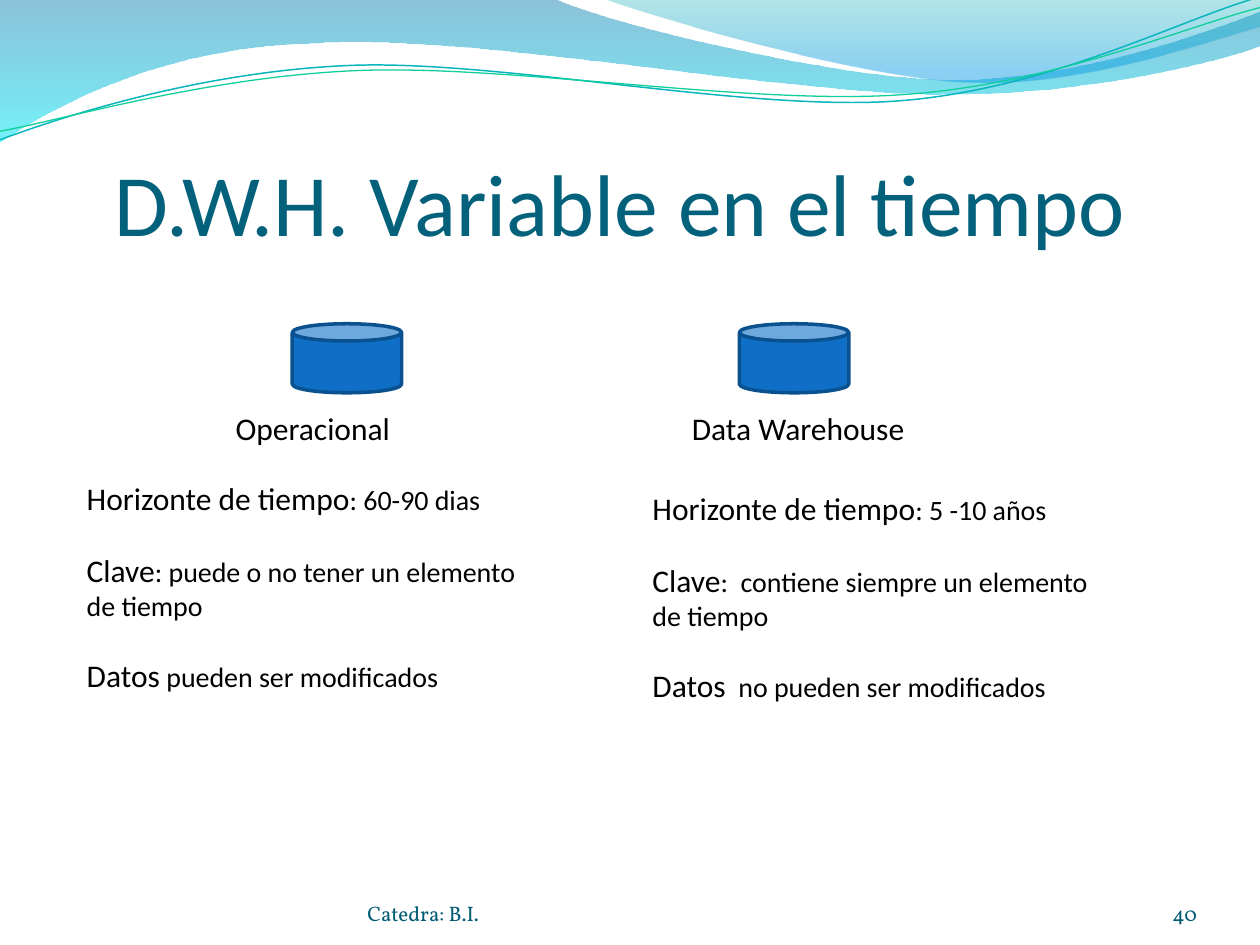
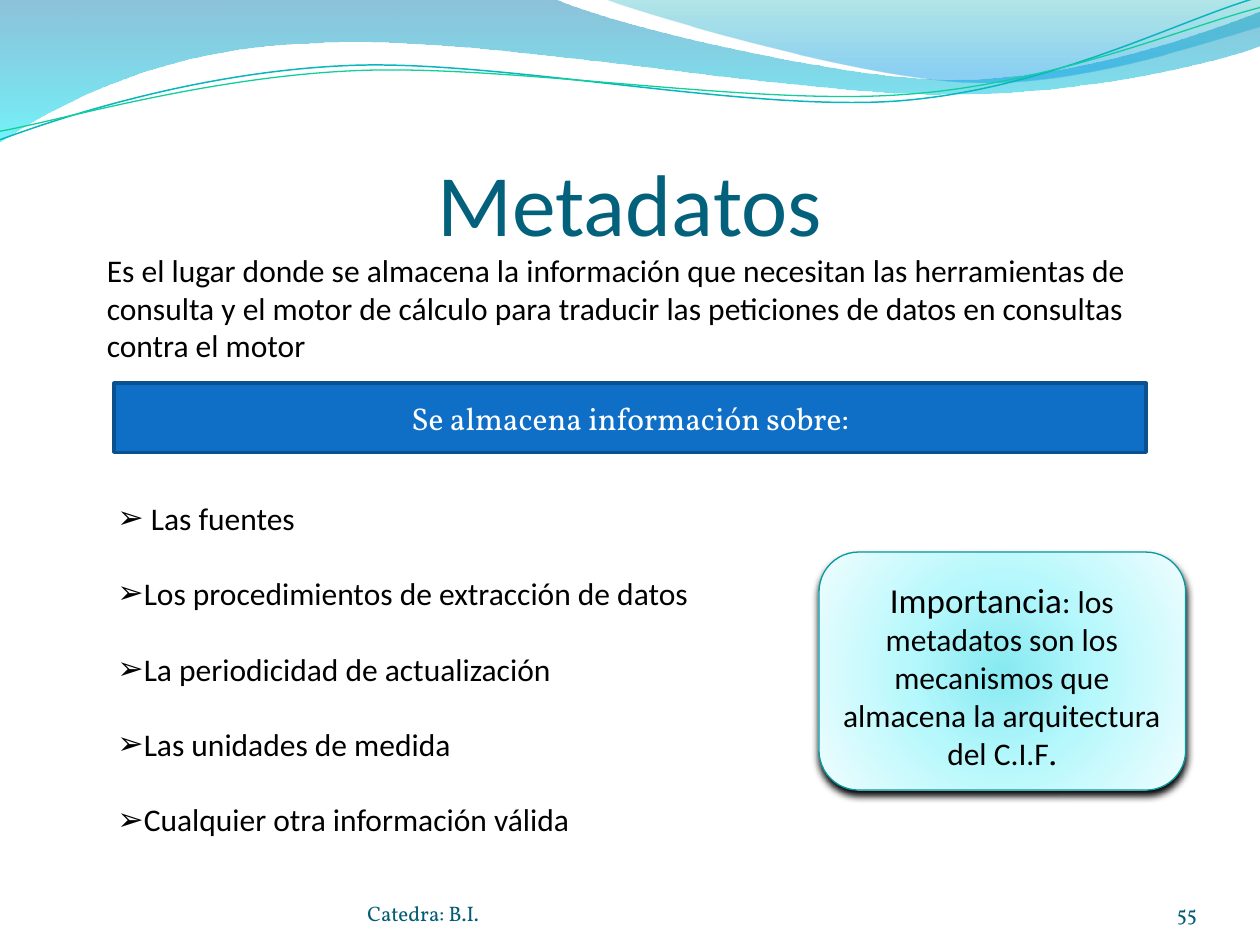
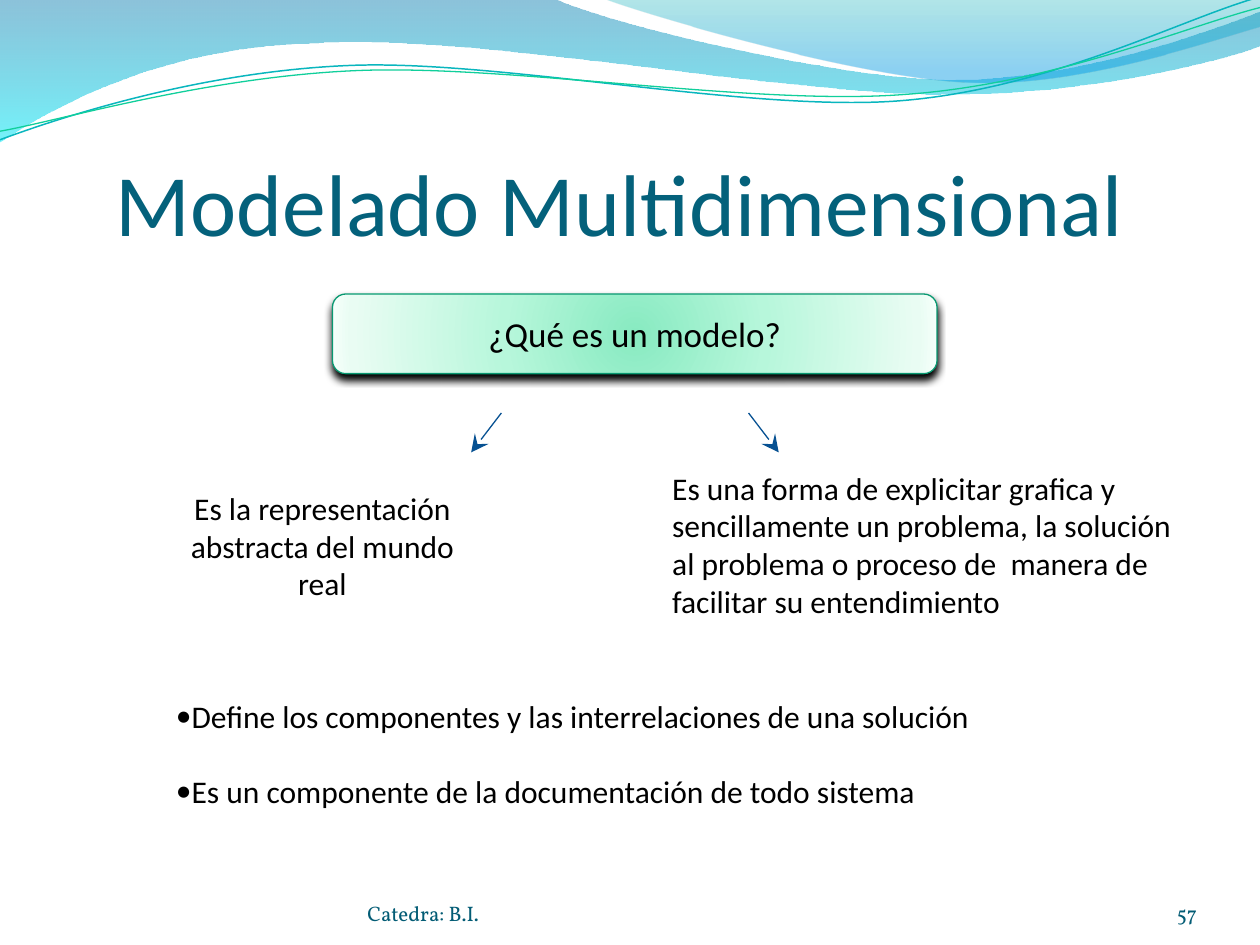
import lxml.etree
import pptx
import pptx.dml.color
import pptx.enum.shapes
import pptx.enum.text
import pptx.oxml
import pptx.oxml.ns
import pptx.util

Pt = pptx.util.Pt
RGB = pptx.dml.color.RGBColor.from_string
Kind = pptx.enum.shapes.MSO_SHAPE
Align = pptx.enum.text.PP_ALIGN
Anchor = pptx.enum.text.MSO_ANCHOR
qn = pptx.oxml.ns.qn
NS = pptx.oxml.ns.nsdecls("a")


class Theme:
    sans, serif = "Calibri", "Vollkorn"
    black, white = "000000", "FFFFFF"
    title, foot = "04617B", "035C75"
    blue, edge, arrow = "0F6FC6", "0A5190", "075192"
    aqua = [(0, "87E9F1", 100), (43, "B6F8FC", 100), (93, "E8FCFE", 100), (100, "F6FFFF", 100)]
    mint = [(0, "88EAC1", 100), (43, "B7F7DB", 100), (93, "E9FCF3", 100), (100, "F6FFFB", 100)]
    aqua_edge, mint_edge = "0599A0", "089971"
    head, large, body, small, tiny = 50, 20, 18, 16, 12
    gap, tight = 21.5, 19.5


def say(shape, paras, align=Align.LEFT, anchor=Anchor.TOP, pads=(7.2, 3.6, 7.2, 3.6),
        font=Theme.sans, color=Theme.black, gap=0, mark=None):
    """Write paragraphs, each a list of (text, size[, font]) runs, into a shape."""
    frame = shape.text_frame
    frame.word_wrap = True
    frame.vertical_anchor = anchor
    frame.margin_left, frame.margin_top, frame.margin_right, frame.margin_bottom = map(Pt, pads)
    for num, runs in enumerate(paras):
        para = frame.add_paragraph() if num else frame.paragraphs[0]
        if mark:
            props = para._p.get_or_add_pPr()
            lxml.etree.SubElement(props, qn("a:buFont")).set("typeface", font)
            lxml.etree.SubElement(props, qn("a:buChar")).set("char", mark)
        para.alignment = align
        if num and gap:
            para.space_before = Pt(gap)
        for text, size, *face in runs:
            run = para.add_run()
            run.text = text
            run.font.size = Pt(size)
            run.font.name = face[0] if face else font
            run.font.color.rgb = RGB(color)


def blend(shape, stops, way):
    """Fill with a gradient of (percent, colour, opacity) stops."""
    marks = "".join(
        f'<a:gs pos="{pos * 1000}"><a:srgbClr val="{color}">'
        f'<a:alpha val="{alpha * 1000}"/></a:srgbClr></a:gs>'
        for pos, color, alpha in stops)
    shape._element.spPr.insert(2, pptx.oxml.parse_xml(
        f'<a:gradFill {NS} rotWithShape="1"><a:gsLst>{marks}</a:gsLst>{way}</a:gradFill>'))


DOWN = '<a:lin ang="5400000" scaled="0"/>'
ROUND = '<a:path path="circle"><a:fillToRect l="50000" t="50000" r="50000" b="50000"/></a:path>'

# Points of each wave: a pair is a line end, six numbers are a Bezier curve.
BANDS = [
    ([(0, 0), (316.8, -0.7), (342.7, 12.2, 478.1, 45.4, 545.8, 45.4),
      (614.2, 45.4, 689.8, 18.7, 720, 6.5), (720.7, 25.9),
      (707.8, 31.7, 626.4, 54.7, 537.1, 54), (447.8, 54, 275, 20.2, 185, 24.5),
      (92.9, 25.9, 33.1, 59.8, -0.7, 81.4), (0, 0)],
     [(0, "0079AD", 45), (100, "00E9F7", 55)]),
    ([(344.9, -0.7), (366.5, 7.9, 491, 44.6, 553.7, 46.8),
      (616.3, 49.7, 691.9, 23, 720, 15.1), (720, 0), (344.9, -0.7)],
     [(0, "00ABB4", 30), (80, "0099E4", 45), (100, "0099E4", 45)]),
]
CURVES = [
    ([(-1.4, 62.9), (33.8, 51.7, 114.1, 29.4, 199.8, 29.9),
      (284.9, 30.3, 425.8, 67.3, 512.4, 64.9), (599, 62.4, 676.4, 25.7, 720.2, 15.6)],
     ("09B6BE", 0.85)),
    ([(-1.1, 58), (32.9, 53.7, 118.3, 32.5, 204.1, 33),
      (290.6, 33.4, 428.9, 63.8, 515.5, 61.4), (601.3, 59.6, 678.5, 30.1, 721.4, 21.3)],
     ("10CF9B", 0.75)),
]
TILT = 357.3

deck = pptx.Presentation()
deck.slide_width, deck.slide_height = Pt(720), Pt(540)
slides = []

# Shared frame: waves, title, footer and page number
for title, page in [("D.W.H. Variable en el tiempo ", "40"), ("Metadatos", "55"),
                    ("Modelado Multidimensional ", "57")]:
    slide = deck.slides.add_slide(deck.slide_layouts[6])
    slides.append(slide)
    for route, paint in BANDS + CURVES:
        closed = isinstance(paint, list)
        pen = slide.shapes.build_freeform(*map(Pt, route[0]))
        dots = [(Pt(x), Pt(y)) for part in route[1:] for x, y in zip(part[::2], part[1::2])]
        pen.add_line_segments(dots, close=closed)
        wave = pen.convert_to_shape()
        wave.shadow.inherit = False
        # Join the three points of each curve into one Bezier segment
        trace = wave._element.spPr.find(".//" + qn("a:path"))
        nodes = iter(list(trace)[1:])
        for part in route[1:]:
            node = next(nodes)
            if len(part) == 6:
                bend = trace.makeelement(qn("a:cubicBezTo"))
                node.addprevious(bend)
                for step in (node, next(nodes), next(nodes)):
                    bend.append(step[0])
                    trace.remove(step)
        if closed:
            blend(wave, paint, DOWN)
            wave.line.fill.background()
        else:
            wave.rotation = TILT
            wave.fill.background()
            wave.line.color.rgb = RGB(paint[0])
            wave.line.width = Pt(paint[1])
    box = slide.shapes.add_textbox(*map(Pt, (36, 55.25, 648, 90)))
    say(box, [[(title, Theme.head)]], Align.CENTER, Anchor.BOTTOM, (0, 3.6, 0, 0),
        color=Theme.title)
    for left, width, text, align in [(210, 264, "Catedra: B.I.", Align.LEFT),
                                     (624, 60, page, Align.RIGHT)]:
        box = slide.shapes.add_textbox(*map(Pt, (left, 500.5, width, 28.75)))
        say(box, [[(text, Theme.tiny)]], align, Anchor.BOTTOM, (0, 0, 0, 0),
            Theme.serif, Theme.foot)

time, meta, model = slides

# Slide 1: operational store against data warehouse
for can_x, name_x, name, list_x, list_y, facts in [
    (167, 127.5, "Operacional", 42.5, 270,
     [("Horizonte de tiempo", ": 60-90 dias"),
      ("Clave", ": puede o no tener un elemento de tiempo"),
      ("Datos", " pueden ser modificados")]),
    (422.5, 388.25, "Data Warehouse", 365.75, 275.75,
     [("Horizonte de tiempo", ": 5 -10 años"),
      ("Clave", ":  contiene siempre un elemento de tiempo"),
      ("Datos", "  no pueden ser modificados")]),
]:
    can = time.shapes.add_shape(Kind.CAN, *map(Pt, (can_x, 185, 62.5, 39.5)))
    can.shadow.inherit = False
    can.fill.solid()
    can.fill.fore_color.rgb = RGB(Theme.blue)
    can.line.color.rgb = RGB(Theme.edge)
    can.line.width = Pt(2)
    label = time.shapes.add_textbox(*map(Pt, (name_x, 230.25, 153.5, 29)))
    say(label, [[(name, Theme.body)]])
    notes = time.shapes.add_textbox(*map(Pt, (list_x, list_y, 272, 131)))
    say(notes, [[(key, Theme.body), (fact, Theme.small)] for key, fact in facts],
        gap=Theme.tight)

# Slides 2 and 3: glowing cards
cards = []
for slide, spot, stops, edge in [
    (meta, (468, 315.5, 209.5, 136), Theme.aqua, Theme.aqua_edge),
    (model, (190, 168, 345.5, 45.5), Theme.mint, Theme.mint_edge),
]:
    card = slide.shapes.add_shape(Kind.ROUNDED_RECTANGLE, *map(Pt, spot))
    blend(card, stops, ROUND)
    card.line.color.rgb = RGB(edge)
    card.line.width = Pt(0.75)
    card.shadow.inherit = False
    card._element.spPr.find(qn("a:effectLst")).append(pptx.oxml.parse_xml(
        f'<a:outerShdw {NS} blurRad="{Pt(4.5)}" dist="{Pt(3)}" dir="5400000" rotWithShape="0">'
        f'<a:srgbClr val="{Theme.black}"/></a:outerShdw>'))
    cards.append(card)

# Slide 2: metadata
intro = meta.shapes.add_textbox(*map(Pt, (54, 139.75, 618, 160)))
say(intro, [[("Es el lugar donde se almacena la información que necesitan las herramientas "
              "de consulta y el motor de cálculo para traducir las peticiones de datos en "
              "consultas contra el motor", Theme.body)]])
banner = meta.shapes.add_shape(Kind.RECTANGLE, *map(Pt, (65.25, 219, 589.75, 39.5)))
banner.shadow.inherit = False
banner.fill.solid()
banner.fill.fore_color.rgb = RGB(Theme.blue)
banner.line.color.rgb = RGB(Theme.edge)
banner.line.width = Pt(2)
say(banner, [[("Se almacena información sobre:", Theme.body)]], Align.CENTER, Anchor.MIDDLE,
    font=Theme.serif, color=Theme.white)
items = [" Las fuentes", "Los procedimientos de extracción de datos",
         "La periodicidad de actualización", "Las unidades de medida",
         "Cualquier otra información válida"]
listing = meta.shapes.add_textbox(*map(Pt, (60, 281.5, 345.5, 225)))
say(listing, [[(item, Theme.body)] for item in items], gap=Theme.gap, mark="➢")
reason = meta.shapes.add_textbox(*map(Pt, (473.25, 327, 198.5, 119)))
say(reason, [[("Importancia", Theme.large),
              (": los metadatos son los mecanismos que almacena la arquitectura del C.I.F",
               Theme.body), (".", Theme.body, Theme.serif)]], Align.CENTER)

# Slide 3: what a model is
say(cards[1], [[("¿Qué es un modelo?", Theme.large)]], Align.CENTER, Anchor.MIDDLE)
for spot, text, align in [
    ((93.5, 275.75, 181.5, 72.75), "Es la representación abstracta del mundo real",
     Align.CENTER),
    ((377, 264.25, 306, 94.5),
     "Es una forma de explicitar grafica y sencillamente un problema, la solución al "
     "problema o proceso de  manera de facilitar su entendimiento", Align.LEFT),
]:
    answer = model.shapes.add_textbox(*map(Pt, spot))
    say(answer, [[(text, Theme.body)]], align)
for start, end in [(286.5, 269.25), (427.75, 445)]:
    arrow = model.shapes.add_connector(pptx.enum.shapes.MSO_CONNECTOR.STRAIGHT,
                                       *map(Pt, (start, 236, end, 258.5)))
    arrow.line.color.rgb = RGB(Theme.arrow)
    arrow.line.width = Pt(0.75)
    tip = lxml.etree.SubElement(arrow.line._get_or_add_ln(), qn("a:tailEnd"))
    for name, value in [("type", "stealth"), ("w", "lg"), ("len", "lg")]:
        tip.set(name, value)
    lxml.etree.SubElement(arrow._element.spPr, qn("a:effectLst"))
traits = model.shapes.add_textbox(*map(Pt, (93.5, 394.5, 561.5, 72.75)))
say(traits, [[("Define los componentes y las interrelaciones de una solución", Theme.body)],
             [("Es un componente de la documentación de todo sistema", Theme.body)]],
    gap=Theme.gap, mark="•")

deck.save("out.pptx")
